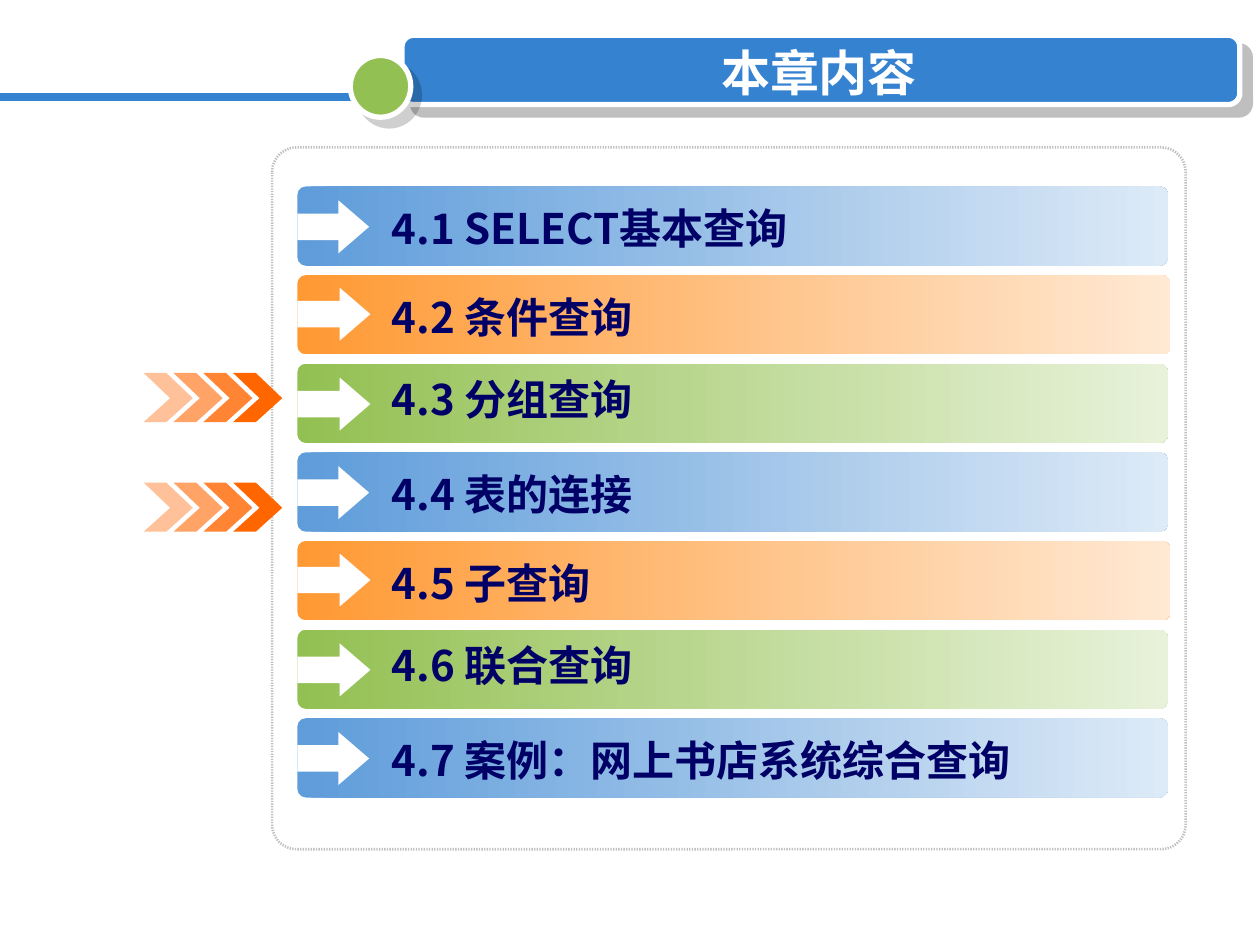
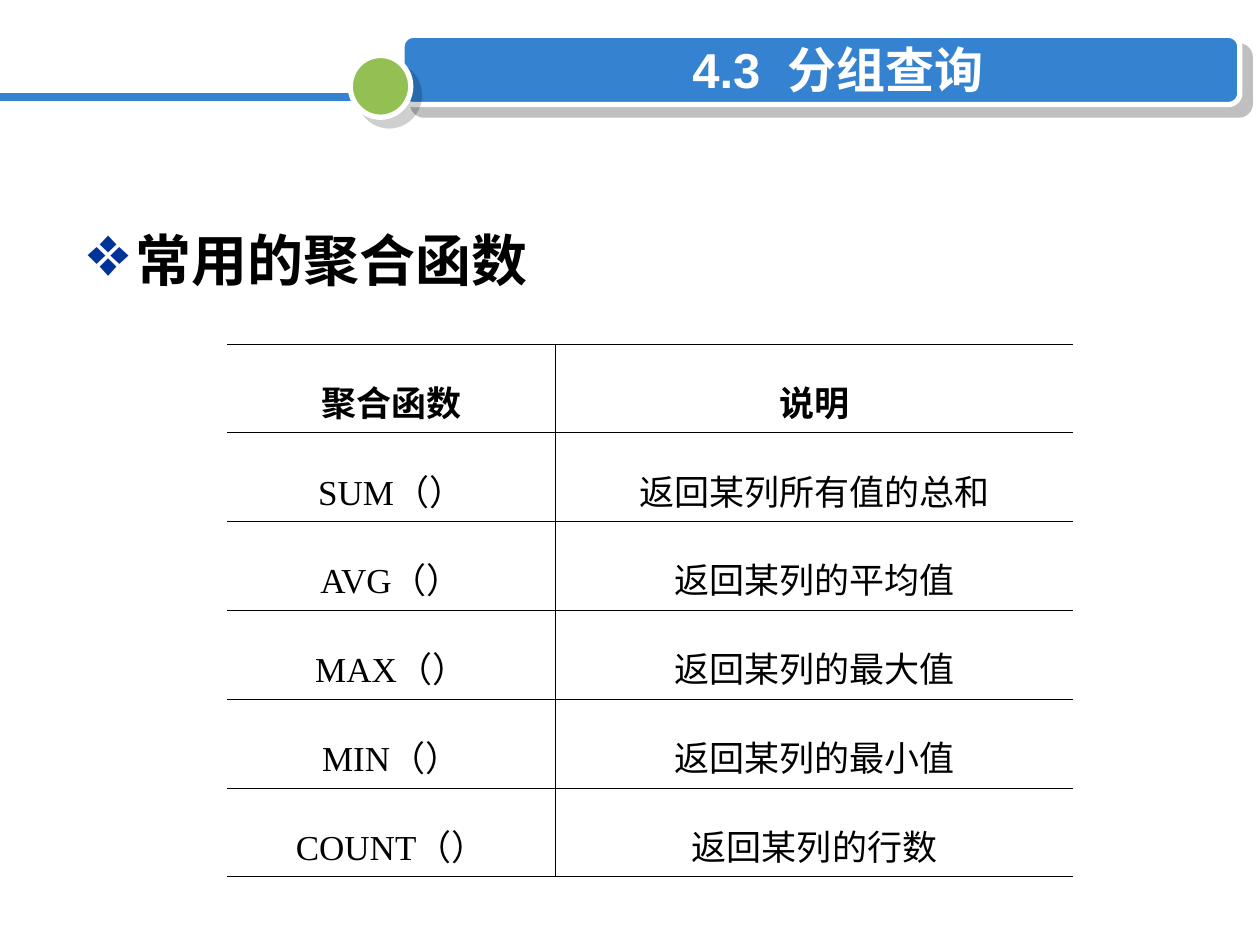
"""Build two slides on grouped queries: a chapter outline and a function table."""
from lxml.etree import SubElement
from pptx import Presentation
from pptx.dml.color import RGBColor
from pptx.enum.shapes import MSO_CONNECTOR, MSO_SHAPE
from pptx.enum.text import MSO_ANCHOR, PP_ALIGN
from pptx.oxml.ns import qn
from pptx.util import Inches, Pt

WHITE = RGBColor(0xFF, 0xFF, 0xFF)
BLACK = RGBColor(0, 0, 0)
BLUE = RGBColor(0x34, 0x82, 0xD0)
GREEN = RGBColor(0x93, 0xC0, 0x52)
GRAY = RGBColor(0x80, 0x80, 0x80)
SILVER = RGBColor(0xC0, 0xC0, 0xC0)
NAVY = RGBColor(0, 0, 0x66)
ROYAL = RGBColor(0, 0x33, 0x99)
ORANGE = RGBColor(0xFF, 0x66, 0)
SANS = "Noto Sans CJK SC"

TOPICS = ["4.1 SELECT基本查询", "4.2 条件查询", "4.3 分组查询", "4.4 表的连接",
          "4.5 子查询", "4.6 联合查询", "4.7 案例：网上书店系统综合查询"]
TINTS = [
    {"from": RGBColor(0x5E, 0x9C, 0xDA), "to": RGBColor(0xDD, 0xEA, 0xF7),
     "wide": 6.91, "arrow": 0.57, "drop": 0.11, "text": 0.08},
    {"from": RGBColor(0xFF, 0x99, 0x33), "to": RGBColor(0xFF, 0xE9, 0xD4),
     "wide": 6.93, "arrow": 0.58, "drop": 0.1, "text": 0.08},
    {"from": GREEN, "to": RGBColor(0xE8, 0xF2, 0xDA),
     "wide": 6.91, "arrow": 0.58, "drop": 0.11, "text": 0.03},
]
BAR_X, BAR_TOP, BAR_END, BAR_HIGH = 2.36, 1.48, 5.7, 0.63
MARKS = [2.96, 3.83]
MARK_X, MARK_END = 1.14, 1.85
ALPHAS = [40, 60, 80, 100]
CHEVRON = [(0, 0), (0.18, 0), (0.39, 0.2), (0.18, 0.39), (0, 0.39), (0.21, 0.2)]

FUNCS = [("聚合函数", "说明"), ("SUM（）", "返回某列所有值的总和"),
         ("AVG（）", "返回某列的平均值"), ("MAX（）", "返回某列的最大值"),
         ("MIN（）", "返回某列的最小值"), ("COUNT（）", "返回某列的行数")]
COLS, GRID_HIGH, EDGE = (2.61, 4.11), 4.23, 0.45


def box(at):
    return [Inches(n) for n in at]


def add_color(node, color, alpha=100):
    tint = SubElement(node, qn("a:srgbClr"), val=str(color))
    if alpha < 100:
        SubElement(tint, qn("a:alpha"), val=str(alpha * 1000))


def add_part(slide, kind, at, fill=None, adj=()):
    part = slide.shapes.add_shape(kind, *box(at))
    part.shadow.inherit = False
    part.line.fill.background()
    for i, value in enumerate(adj):
        part.adjustments[i] = value
    if fill is None:
        part.fill.background()
    else:
        part.fill.solid()
        part.fill.fore_color.rgb = fill
    return part


def set_line(part, color, width):
    part.line.color.rgb = color
    part.line.width = Pt(width)


def cast(part, color, alpha, dist):
    glow = part._element.spPr.find(qn("a:effectLst"))
    shade = SubElement(glow, qn("a:outerShdw"), blurRad="0", dist=str(Pt(dist)),
                       dir="2700000", algn="ctr", rotWithShape="0")
    add_color(shade, color, alpha)


def write(para, text, size, color, bold=True, face=SANS):
    run = para.add_run()
    run.text = text
    font = run.font
    font.size, font.bold, font.name = Pt(size), bold, face
    font.color.rgb = color
    SubElement(run._r.get_or_add_rPr(), qn("a:ea"), typeface=SANS)
    return run


def add_text(slide, at):
    frame = slide.shapes.add_textbox(*box(at)).text_frame
    frame.word_wrap = True
    return frame


def add_slide(deck, title, at):
    slide = deck.slides.add_slide(deck.slide_layouts[6])
    band = add_part(slide, MSO_SHAPE.ROUNDED_RECTANGLE, (3.19, 0.28, 6.65, 0.55), BLUE, [0.167])
    set_line(band, WHITE, 3)
    cast(band, GRAY, 50, 8.5)
    rule = slide.shapes.add_connector(MSO_CONNECTOR.STRAIGHT, *box((0, 0.77, 3.27, 0.77)))
    set_line(rule, BLUE, 4.5)
    SubElement(rule._element.spPr, qn("a:effectLst"))
    dot = add_part(slide, MSO_SHAPE.OVAL, (2.78, 0.44, 0.48, 0.49), GREEN)
    set_line(dot, WHITE, 3)
    cast(dot, BLACK, 19, 7.1)
    frame = add_text(slide, at)
    frame.vertical_anchor = MSO_ANCHOR.MIDDLE
    para = frame.paragraphs[0]
    para.alignment = PP_ALIGN.CENTER
    for text in title:
        run = write(para, text, 28, WHITE, face="Arial")
        if text == " ":
            run._r.get_or_add_rPr().set("spc", "780")
    return slide


def add_panel(slide):
    panel = add_part(slide, MSO_SHAPE.ROUNDED_RECTANGLE, (2.16, 1.17, 7.25, 5.57), adj=[0.035])
    set_line(panel, SILVER, 1.5)
    dash = SubElement(panel.line._get_or_add_ln(), qn("a:custDash"))
    SubElement(dash, qn("a:ds"), d="50000", sp="50000")


def add_bar(slide, text, top, tint):
    bar = add_part(slide, MSO_SHAPE.ROUNDED_RECTANGLE,
                   (BAR_X, top, tint["wide"], BAR_HIGH), adj=[0.109])
    bar.fill.gradient()
    bar.fill.gradient_angle = 0
    for stop, end in zip(bar.fill.gradient_stops, ("from", "to")):
        stop.color.rgb = tint[end]
    add_part(slide, MSO_SHAPE.RIGHT_ARROW,
             (BAR_X, top + tint["drop"], tint["arrow"], 0.42), WHITE, [0.5, 0.58])
    frame = add_text(slide, (3.01, top + tint["text"], 5.28, 0.5))
    write(frame.paragraphs[0], text, 24, NAVY)


def add_mark(slide, top):
    step = (MARK_END - MARK_X) / (len(ALPHAS) - 1)
    for i, alpha in enumerate(ALPHAS):
        dots = [box((MARK_X + i * step + x, top + y)) for x, y in CHEVRON]
        pen = slide.shapes.build_freeform(*dots[0])
        pen.add_line_segments(dots[1:], close=True)
        part = pen.convert_to_shape()
        part.shadow.inherit = False
        part.line.fill.background()
        part.fill.solid()
        part.fill.fore_color.rgb = ORANGE
        if alpha < 100:
            tint = part._element.spPr.find(qn("a:solidFill"))[0]
            SubElement(tint, qn("a:alpha"), val=str(alpha * 1000))


def set_edges(cell, widths):
    cell.fill.background()
    props = cell._tc.get_or_add_tcPr()
    for i, (side, width) in enumerate(zip("LRTB", widths)):
        edge = SubElement(props, qn("a:ln" + side), w=str(Pt(width)))
        if width:
            add_color(SubElement(edge, qn("a:solidFill")), BLACK)
        else:
            SubElement(edge, qn("a:noFill"))
        props.insert(i, edge)


def add_funcs(slide):
    grid = slide.shapes.add_table(len(FUNCS), len(COLS), *box(
        (1.8, 2.73, sum(COLS), GRID_HIGH))).table
    grid.first_row = grid.horz_banding = False
    for col, width in zip(grid.columns, COLS):
        col.width = Inches(width)
    for r, row in enumerate(FUNCS):
        for c, text in enumerate(row):
            cell = grid.cell(r, c)
            cell.margin_left = cell.margin_right = Inches(0.08)
            set_edges(cell, (EDGE * c, EDGE * (1 - c), EDGE, EDGE))
            para = cell.text_frame.paragraphs[0]
            para.alignment = PP_ALIGN.CENTER
            para.line_spacing = 1.5
            write(para, text, 20, BLACK, r == 0, "Times New Roman")


def add_head(slide, text):
    para = add_text(slide, (0.6, 1.47, 9, 1.42)).paragraphs[0]
    para.line_spacing = 1.5
    props = para._p.get_or_add_pPr()
    props.set("marL", str(Inches(0.38)))
    props.set("indent", str(Inches(-0.38)))
    add_color(SubElement(props, qn("a:buClr")), ROYAL)
    SubElement(props, qn("a:buSzPct"), val="128000")
    SubElement(props, qn("a:buChar"), char="❖")
    write(para, text, 32, BLACK)


def main():
    deck = Presentation()
    deck.slide_width, deck.slide_height = Inches(10), Inches(7.5)

    plan = add_slide(deck, ["本章内容"], (3.43, 0.31, 6.14, 0.53))
    add_panel(plan)
    step = (BAR_END - BAR_TOP) / (len(TOPICS) - 1)
    for i, text in enumerate(TOPICS):
        add_bar(plan, text, BAR_TOP + i * step, TINTS[i % len(TINTS)])
    for top in MARKS:
        add_mark(plan, top)

    group = add_slide(deck, ["4.3", " ", "分组查询"], (3.5, 0.28, 6.3, 0.53))
    add_head(group, "常用的聚合函数")
    add_funcs(group)
    deck.save("out.pptx")


if __name__ == "__main__":
    main()
